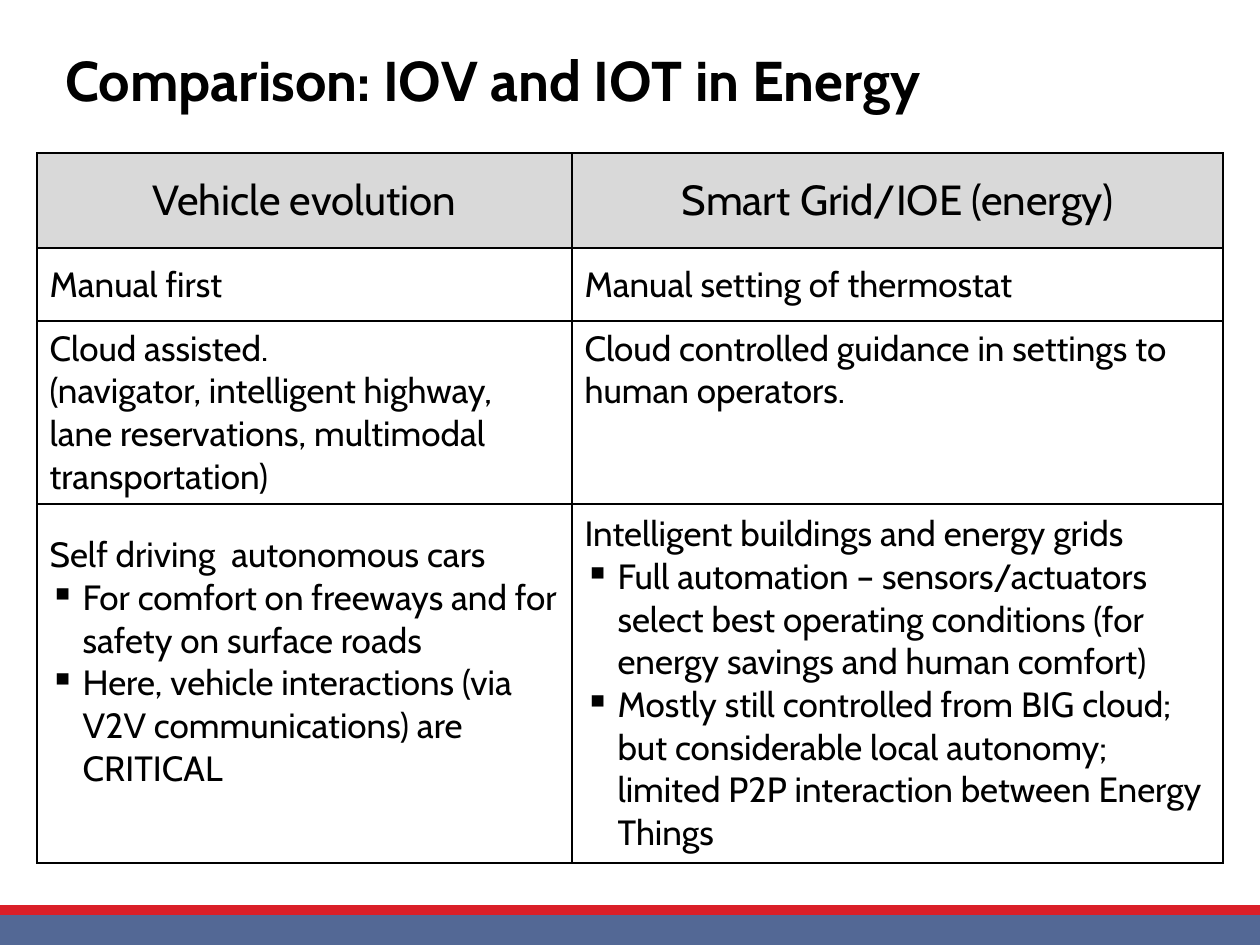
from lxml.etree import SubElement
from pptx import Presentation
from pptx.dml.color import RGBColor
from pptx.enum.shapes import MSO_CONNECTOR as Connector, MSO_SHAPE as Shape
from pptx.enum.text import MSO_ANCHOR as Anchor, PP_ALIGN as Align
from pptx.oxml.ns import qn
from pptx.util import Pt

# Content: a paragraph starting with BULLET is a list item
BULLET = "▪"
TITLE = "Comparison: IOV and IOT in Energy"
ROWS = [
    (["Vehicle evolution"], ["Smart Grid/IOE (energy)"]),
    (["Manual first"], ["Manual setting of thermostat"]),
    (["Cloud assisted.",
      "(navigator, intelligent highway, lane reservations, multimodal transportation)"],
     ["Cloud controlled guidance in settings to human operators."]),
    (["Self driving  autonomous cars",
      "▪For comfort on freeways and for safety on surface roads",
      "▪Here, vehicle interactions (via V2V communications) are CRITICAL"],
     ["Intelligent buildings and energy grids",
      "▪Full automation – sensors/actuators select best operating conditions "
      "(for energy savings and human comfort)",
      "▪Mostly still controlled from BIG cloud; but considerable local autonomy; "
      "limited P2P interaction between Energy Things"]),
]

# Layout in px
WIDTH, HEIGHT = 1260, 945
COLUMN_WIDTHS = [535, 651]
ROW_HEIGHTS = [95, 73, 183, 359]
TABLE_LEFT, TABLE_TOP = 37, 153
INDENT = 33
BOTTOM_MARGINS = {(3, 0): 49}
ANCHORS = {(2, 1): Anchor.TOP}
STRIPE_Y, FOOTER_TOP = 910, 914


def px(length):
    return round(length * 914400 / 126)


def color(hex_code):
    return RGBColor.from_string(hex_code)


def write(frame, paragraphs, size=20, bold=False, align=Align.LEFT):
    frame.word_wrap = True
    for index, text in enumerate(paragraphs):
        paragraph = frame.paragraphs[0] if index == 0 else frame.add_paragraph()
        paragraph.alignment = align
        run = paragraph.add_run()
        run.text = text.removeprefix(BULLET)
        run.font.name = "Cabin"
        run.font.size = Pt(size)
        run.font.bold = bold
        run.font.color.rgb = color("000000")
        if text.startswith(BULLET):
            props = paragraph._p.get_or_add_pPr()
            props.set("marL", str(px(INDENT)))
            props.set("indent", str(-px(INDENT)))
            SubElement(props, qn("a:buChar"), char=BULLET)


def fill(part, hex_code):
    part.fill.solid()
    part.fill.fore_color.rgb = color(hex_code)


def add_borders(cell):
    props = cell._tc.get_or_add_tcPr()
    for position, side in enumerate(("lnL", "lnR", "lnT", "lnB")):
        border = props.makeelement(qn(f"a:{side}"), {"w": str(Pt(1))})
        solid = SubElement(border, qn("a:solidFill"))
        SubElement(solid, qn("a:srgbClr"), val="000000")
        props.insert(position, border)


def main():
    prs = Presentation()
    prs.slide_width, prs.slide_height = px(WIDTH), px(HEIGHT)
    slide = prs.slides.add_slide(prs.slide_layouts[6])
    shapes = slide.shapes

    # Footer band and red stripe
    footer = shapes.add_shape(Shape.RECTANGLE, 0, px(FOOTER_TOP),
                              px(WIDTH), px(HEIGHT - FOOTER_TOP))
    footer.shadow.inherit = False
    fill(footer, "536895")
    footer.line.fill.background()
    stripe = shapes.add_connector(Connector.STRAIGHT, 0, px(STRIPE_Y),
                                  px(WIDTH), px(STRIPE_Y))
    stripe.line.color.rgb = color("DA1F28")
    stripe.line.width = Pt(6)
    SubElement(stripe._element.spPr, qn("a:effectLst"))

    # Title
    title = shapes.add_textbox(px(53), px(33), px(1165), px(93)).text_frame
    title.vertical_anchor = Anchor.MIDDLE
    write(title, [TITLE], size=32, bold=True)

    # Comparison table
    table = shapes.add_table(len(ROW_HEIGHTS), len(COLUMN_WIDTHS),
                             px(TABLE_LEFT), px(TABLE_TOP),
                             px(sum(COLUMN_WIDTHS)), px(sum(ROW_HEIGHTS))).table
    table.horz_banding = False
    for column, width in zip(table.columns, COLUMN_WIDTHS):
        column.width = px(width)
    for r, (height, row) in enumerate(zip(ROW_HEIGHTS, ROWS)):
        table.rows[r].height = px(height)
        for c, paragraphs in enumerate(row):
            cell = table.cell(r, c)
            header = r == 0
            fill(cell, "D9D9D9" if header else "FFFFFF")
            cell.vertical_anchor = ANCHORS.get((r, c), Anchor.MIDDLE)
            cell.margin_bottom = px(BOTTOM_MARGINS.get((r, c), 6))
            add_borders(cell)
            write(cell.text_frame, paragraphs, size=24 if header else 20,
                  align=Align.CENTER if header else Align.LEFT)

    prs.save("out.pptx")


if __name__ == "__main__":
    main()
